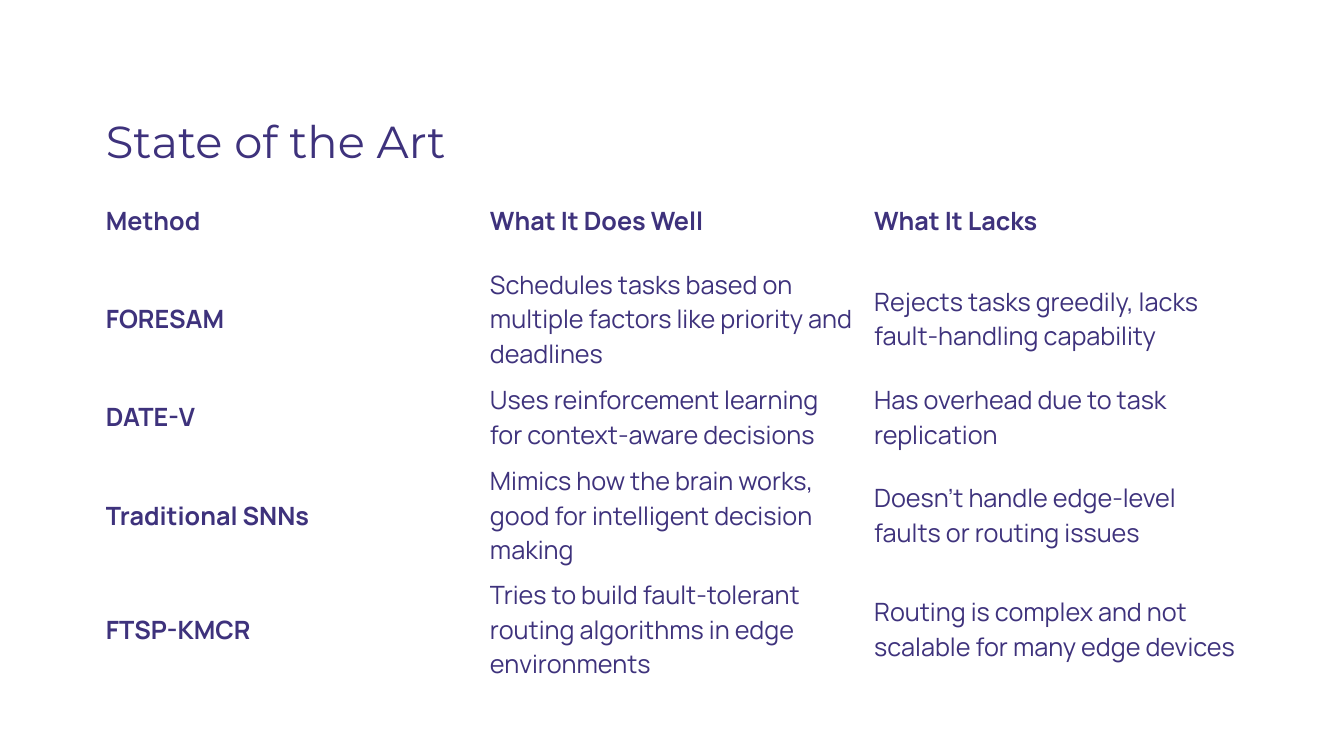
from pptx import Presentation
from pptx import util as u
from pptx.dml.color import RGBColor
from pptx.enum import text

COLORS = {"ink": "3E327C", "paper": "FFFFFF"}
FONTS = {"title": "Montserrat", "table": "Manrope"}

METHODS = [
    ("", "", ""),
    ("Method", "What It Does Well", "What It Lacks"),
    ("FORESAM",
     "Schedules tasks based on multiple factors like priority and deadlines",
     "Rejects tasks greedily, lacks fault-handling capability"),
    ("DATE-V",
     "Uses reinforcement learning for context-aware decisions",
     "Has overhead due to task replication"),
    ("Traditional SNNs",
     "Mimics how the brain works, good for intelligent decision making",
     "Doesn’t handle edge-level faults or routing issues"),
    ("FTSP-KMCR",
     "Tries to build fault-tolerant routing algorithms in edge environments",
     "Routing is complex and not scalable for many edge devices"),
]
HEADER_ROW = 1
SHORT, TALL = 0.82, 1.13  # rows of up to two lines, rows of three lines
ROW_HEIGHTS = [SHORT, SHORT, TALL, SHORT, TALL, TALL]


class SlideBuilder:
    """Holds the style and the current slide."""

    def __init__(self, deck):
        self.page = deck.slides.add_slide(deck.slide_layouts[5])
        fill = self.page.background.fill
        fill.solid()
        fill.fore_color.rgb = RGBColor.from_string(COLORS["paper"])

    def span(self, para, words, font, size, bold=False):
        span = para.add_run()
        span.text = words
        span.font.name = FONTS[font]
        span.font.size = u.Pt(size)
        span.font.bold = bold
        span.font.color.rgb = RGBColor.from_string(COLORS["ink"])

    def title(self, words, left, top, width, height):
        box = self.page.shapes.title
        box.left, box.top = u.Inches(left), u.Inches(top)
        box.width, box.height = u.Inches(width), u.Inches(height)
        frame = box.text_frame
        frame.word_wrap = True
        frame.auto_size = text.MSO_AUTO_SIZE.SHAPE_TO_FIT_TEXT
        frame.vertical_anchor = text.MSO_ANCHOR.TOP
        para = frame.paragraphs[0]
        para.alignment = text.PP_ALIGN.LEFT
        self.span(para, words, "title", 32)

    def table(self, rows, left, top, column_width, row_heights):
        columns = len(rows[0])
        table = self.page.shapes.add_table(
            len(rows), columns, u.Inches(left), u.Inches(top),
            u.Inches(column_width * columns),
            u.Inches(sum(row_heights))).table
        table.first_row = table.horz_banding = False
        for r, row in enumerate(rows):
            table.rows[r].height = u.Inches(row_heights[r])
            for c, words in enumerate(row):
                cell = table.cell(r, c)
                cell.fill.background()
                cell.vertical_anchor = text.MSO_ANCHOR.MIDDLE
                if words:
                    self.span(cell.text_frame.paragraphs[0], words, "table",
                              18, bold=r == HEADER_ROW or c == 0)


def main():
    deck = Presentation()
    deck.slide_width, deck.slide_height = u.Inches(13.33), u.Inches(7.5)
    builder = SlideBuilder(deck)

    # Comparison of methods
    builder.table(METHODS, 0.95, 0.96, 3.81, ROW_HEIGHTS)

    # Title, over the empty first row
    builder.title("State of the Art", 0.95, 1.08, 6.67, 0.64)

    deck.save("out.pptx")


if __name__ == "__main__":
    main()
